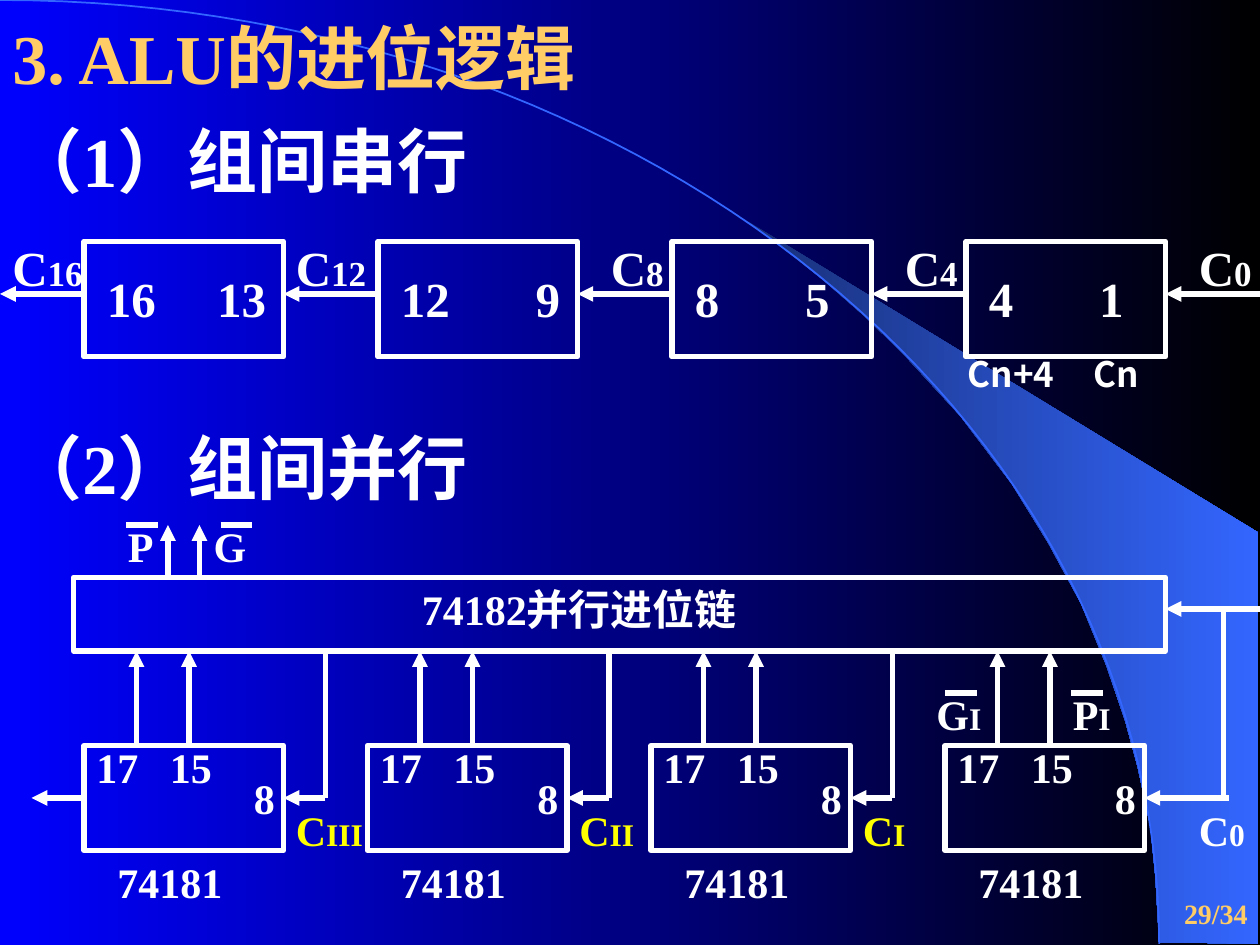
import lxml.etree
import pptx
import pptx.dml.color
import pptx.enum.shapes
import pptx.enum.text
import pptx.oxml.ns
import pptx.util

Pt = pptx.util.Pt
RGB = pptx.dml.color.RGBColor
WHITE = RGB(0xFF, 0xFF, 0xFF)
BLACK = RGB(0, 0, 0)
BLUE = RGB(0, 0, 0xFF)
NAVY = RGB(0x18, 0x2F, 0x76)
SKY = RGB(0x33, 0x66, 0xFF)
GOLD = RGB(0xFF, 0xCC, 0x66)
YELLOW = RGB(0xFF, 0xFF, 0)
SERIF = "Times New Roman"
SANS = "Noto Sans CJK SC"


def add_tag(parent, name, **attrs):
    return lxml.etree.SubElement(parent, pptx.oxml.ns.qn(name), attrs)


def blend(fill, first, last):
    fill.gradient()
    fill.gradient_angle = 0
    for stop, color, place in zip(fill.gradient_stops, (first, last), (0, 1)):
        stop.color.rgb = color
        stop.position = place


def write(para, parts, color=WHITE, face=SERIF, tab=None):
    if tab:
        tabs = add_tag(para._p.get_or_add_pPr(), "a:tabLst")
        add_tag(tabs, "a:tab", pos=str(Pt(tab)), algn="l")
    font = para.font
    font.name, font.bold, font.color.rgb = face, True, color
    if len(parts) == 1:
        font.size = Pt(parts[0][1])
    for words, size in parts:
        run = para.add_run()
        run.text = words
        if len(parts) > 1:
            run.font.size = Pt(size)


def add_text(slide, x, y, w, h, *parts, **style):
    box = slide.shapes.add_textbox(Pt(x), Pt(y), Pt(w), Pt(h))
    frame = box.text_frame
    frame.word_wrap = True
    frame.auto_size = pptx.enum.text.MSO_AUTO_SIZE.SHAPE_TO_FIT_TEXT
    write(frame.paragraphs[0], parts, **style)
    return frame


def add_head(slide, y, h, *lines):
    words, color = lines[0]
    frame = add_text(slide, 0, y, 696, h, (words, 40), color=color)
    for words, color in lines[1:]:
        para = frame.add_paragraph()
        para.space_before = Pt(25)
        write(para, [(words, 40)], color=color)
    for para in frame.paragraphs:
        para.line_spacing = 0.7


def add_box(slide, x, y, w, h):
    box = slide.shapes.add_shape(
        pptx.enum.shapes.MSO_SHAPE.RECTANGLE, Pt(x), Pt(y), Pt(w), Pt(h))
    box.shadow.inherit = False
    box.fill.background()
    box.line.color.rgb = WHITE
    box.line.width = Pt(3)


def add_line(slide, x1, y1, x2, y2, arrow=False):
    line = slide.shapes.add_connector(
        pptx.enum.shapes.MSO_CONNECTOR.STRAIGHT, Pt(x1), Pt(y1), Pt(x2), Pt(y2))
    line.line.color.rgb = WHITE
    line.line.width = Pt(3)
    if arrow:
        add_tag(line.line._get_or_add_ln(), "a:tailEnd", type="triangle")
    add_tag(line._element.spPr, "a:effectLst")


def add_form(slide, points, close):
    spots = [(Pt(x), Pt(y)) for x, y in points]
    form = slide.shapes.build_freeform(*spots[0], scale=1.0)
    form.add_line_segments(spots[1:], close=close)
    shape = form.convert_to_shape()
    shape.shadow.inherit = False
    return shape


def bend(t):
    s = 1 - t
    return (3 * s * t * t * 662.4 + 3 * s * s * t * 365.76 + t ** 3 * 662.4,
            3 * s * t * t * 241.2 + t ** 3 * 539.28)


def add_back(slide):
    blend(slide.background.fill, BLUE, BLACK)
    beam = [(662.4, 538.56), (719.28, 539.28), (719.28, 304.56), (424.08, 124.56),
            (449.28, 143.28), (470.16, 159.84), (493.2, 180), (515.52, 201.6),
            (548.64, 237.6), (578.16, 276.48), (599.04, 310.32), (617.76, 344.88),
            (632.16, 380.16), (642.96, 411.84), (650.16, 438.48), (657.36, 472.32),
            (660.24, 501.12)]
    wedge = add_form(slide, beam, True)
    blend(wedge.fill, NAVY, SKY)
    wedge.line.fill.background()
    arc = add_form(slide, [bend(i / 60) for i in range(61)], False)
    arc.fill.background()
    arc.line.color.rgb = SKY
    arc.line.width = Pt(1)


def add_chain(slide):
    groups = [("16", "13", 63), ("12", "9", 77), ("8", "5", 63), ("4", "1", 63)]
    for i, (high, low, tab) in enumerate(groups):
        x = 48 + 168 * i
        add_box(slide, x, 138, 114, 66)
        add_line(slide, x + 168, 168, x + 114, 168, True)
        add_text(slide, x + 6, 150, 108, 41, (f"{high}\t{low}", 28), tab=tab)
    add_line(slide, 48, 168, 0, 168, True)
    for x, sub in zip((0, 162, 342, 510, 678), (16, 12, 8, 4, 0)):
        add_text(slide, x, 132, 72, 41, ("C", 28), (str(sub), 20))
    add_text(slide, 546, 198, 150, 32, ("Cn+4\tCn", 20), face=SANS, tab=72)


def add_chip(slide, x):
    add_box(slide, x, 426, 114, 60)
    add_text(slide, x, 420, 108, 36, ("17\t15", 24), tab=42)
    add_text(slide, x + 90, 438, 48, 36, ("8", 24))
    add_text(slide, x + 12, 486, 96, 36, ("74181", 24))
    for pin in (x + 30, x + 60):
        add_line(slide, pin, 426, pin, 372, True)


def add_carry(slide, x, sub):
    add_line(slide, x + 138, 372, x + 138, 456)
    add_line(slide, x + 138, 456, x + 114, 456, True)
    add_text(slide, x + 114, 456, 66, 36, ("C", 24), (sub, 18), color=YELLOW)


def add_tree(slide):
    add_box(slide, 42, 330, 624, 42)
    add_text(slide, 234, 330, 222, 36, ("74182并行进位链", 24))
    for x in (48, 210, 372, 540):
        add_chip(slide, x)
    for x, sub in zip((48, 210, 372), ("III", "II", "I")):
        add_carry(slide, x, sub)
    add_line(slide, 48, 456, 18, 456, True)
    add_line(slide, 720, 348, 666, 348, True)
    add_line(slide, 699, 348, 699, 456)
    add_line(slide, 702, 456, 654, 456, True)
    add_text(slide, 678, 456, 42, 36, ("C", 24), ("0", 18))
    for x, name in ((528, "G"), (606, "P")):
        add_text(slide, x, 390, 66, 36, (name, 24), ("I", 18))
    for x in (96, 114):
        add_line(slide, x, 330, x, 300, True)
    add_text(slide, 66, 294, 90, 36, ("P\tG", 24), tab=49)
    for x, y in ((72, 300), (126, 300), (540, 396), (612, 396)):
        add_line(slide, x, y, x + 18, y)


def main():
    deck = pptx.Presentation()
    deck.slide_width, deck.slide_height = Pt(720), Pt(540)
    slide = deck.slides.add_slide(deck.slide_layouts[6])
    add_back(slide)
    page = add_text(slide, 541.5, 504, 178.5, 36, ("29/34", 16), color=GOLD)
    page.auto_size = pptx.enum.text.MSO_AUTO_SIZE.NONE
    page.vertical_anchor = pptx.enum.text.MSO_ANCHOR.MIDDLE
    page.paragraphs[0].alignment = pptx.enum.text.PP_ALIGN.RIGHT
    add_head(slide, 18, 99, ("3. ALU的进位逻辑", GOLD), ("（1）组间串行", WHITE))
    add_chain(slide)
    add_head(slide, 252, 41, ("（2）组间并行", WHITE))
    add_tree(slide)
    deck.save("out.pptx")


if __name__ == "__main__":
    main()
